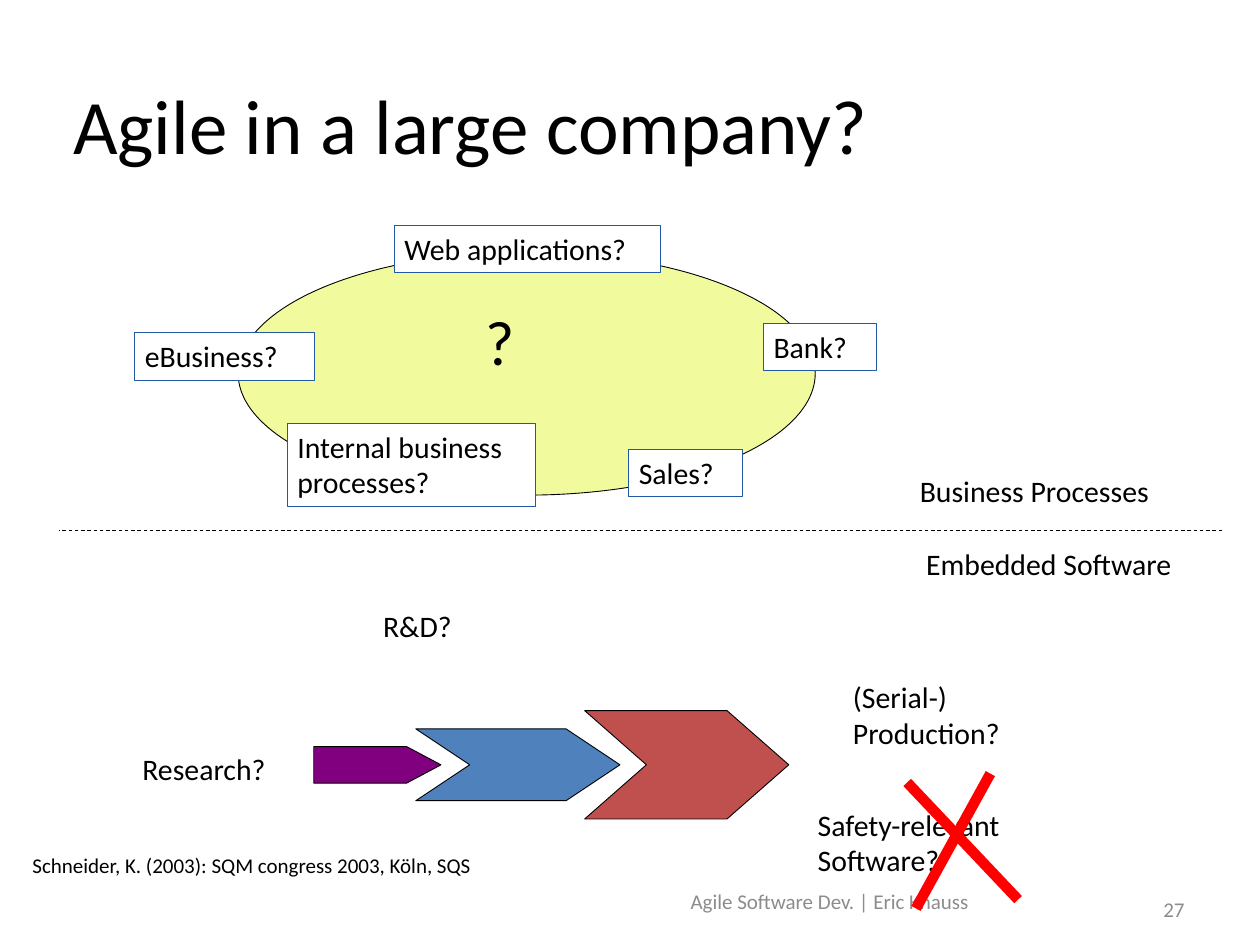
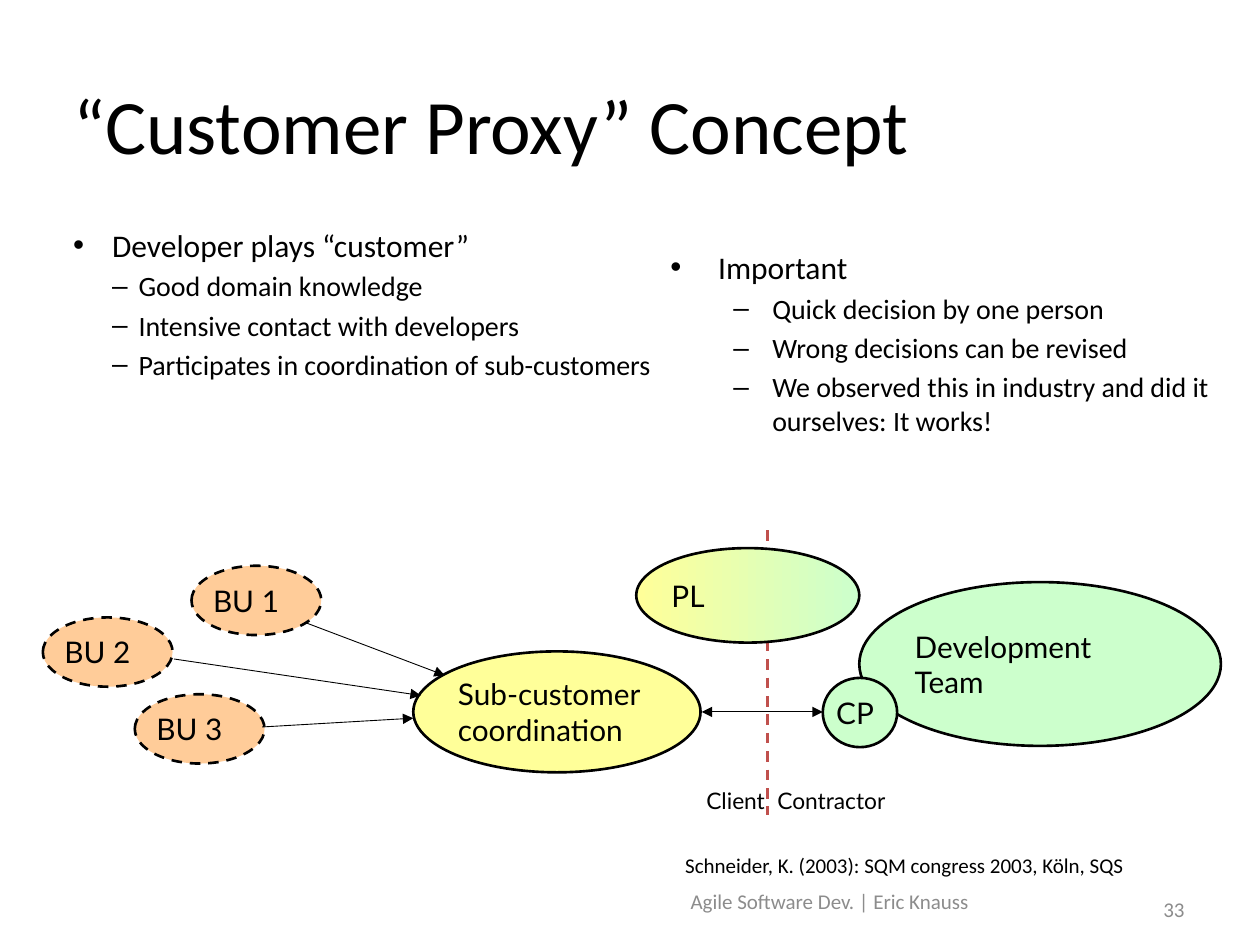
from lxml import etree
from pptx import Presentation
from pptx.dml.color import RGBColor
from pptx.enum.dml import MSO_LINE
from pptx.enum.shapes import MSO_CONNECTOR, MSO_SHAPE
from pptx.enum.text import MSO_ANCHOR, PP_ALIGN
from pptx.oxml.ns import qn
from pptx.util import Inches, Pt

ELLIPSE, RECTANGLE = MSO_SHAPE.OVAL, MSO_SHAPE.RECTANGLE
PENTAGON, CHEVRON = MSO_SHAPE.PENTAGON, MSO_SHAPE.CHEVRON
STRAIGHT, DASH = MSO_CONNECTOR.STRAIGHT, MSO_LINE.DASH
TOP, MIDDLE = MSO_ANCHOR.TOP, MSO_ANCHOR.MIDDLE
LEFT, CENTER, RIGHT = PP_ALIGN.LEFT, PP_ALIGN.CENTER, PP_ALIGN.RIGHT

WIDTH, HEIGHT = Inches(10), Inches(7.5)
COLUMN, ROW = WIDTH / 100, HEIGHT / 75

BLACK, WHITE, GREY, RED = "000000", "FFFFFF", "8C8C8C", "FF0000"
BOX_BLUE, LIME, PURPLE, BLUE, BRICK = "2358A7", "F1FA9C", "800080", "4F81BD", "C0504D"
PEACH, YELLOW, MINT = "FFCC99", "FFFF99", "CCFFCC"

BODY_FONT, DIAGRAM_FONT = "Calibri", "Lato"
# Text insets as (horizontal, vertical) grid units
WIDE, NORMAL, SNUG, TIGHT = (1, 0.5), (0.8, 0.4), (0.6, 0.3), (0.2, 0.1)
SOURCE = "Schneider, K. (2003): SQM congress 2003, Köln, SQS"
FOOTER = "Agile Software Dev. | Eric Knauss"


def colour(hex_string):
    return RGBColor.from_string(hex_string)


def cells(left, top, width, height):
    """Turn grid columns and rows into slide lengths."""
    return (round(left * COLUMN), round(top * ROW),
            round(width * COLUMN), round(height * ROW))


def prepare_frame(shape, insets, anchor):
    frame = shape.text_frame
    frame.word_wrap = True
    frame.vertical_anchor = anchor
    frame.margin_left = frame.margin_right = round(insets[0] * COLUMN)
    frame.margin_top = frame.margin_bottom = round(insets[1] * ROW)
    return frame


def add_run(paragraph, words, size, font=BODY_FONT, ink=BLACK):
    run = paragraph.add_run()
    run.text = words
    run.font.size = Pt(size)
    run.font.name = font
    run.font.color.rgb = colour(ink)


def write(shape, words, size=17, font=BODY_FONT, ink=BLACK,
          align=LEFT, anchor=TOP, insets=NORMAL):
    paragraph = prepare_frame(shape, insets, anchor).paragraphs[0]
    paragraph.alignment = align
    for number, line in enumerate(words.split("\n")):
        if number:
            paragraph.add_line_break()
        add_run(paragraph, line, size, font, ink)


def add_label(slide, area, words, **style):
    write(slide.shapes.add_textbox(*cells(*area)), words, **style)


def add_figure(slide, kind, area, fill, edge=BLACK, weight=0.5, dash=None):
    """Draw an outlined shape; a pair of fills makes a left-to-right gradient."""
    figure = slide.shapes.add_shape(kind, *cells(*area))
    figure.shadow.inherit = False
    if isinstance(fill, tuple):
        figure.fill.gradient()
        figure.fill.gradient_angle = 0
        for stop, shade in zip(figure.fill.gradient_stops, fill):
            stop.color.rgb = colour(shade)
    else:
        figure.fill.solid()
        figure.fill.fore_color.rgb = colour(fill)
    figure.line.color.rgb = colour(edge)
    figure.line.width = Pt(weight)
    if dash:
        figure.line.dash_style = dash
    return figure


def add_line(slide, start, end, ink=BLACK, weight=0.5, dash=None, arrows=()):
    """Draw a line; arrows lists the ends ("headEnd", "tailEnd") with a triangle."""
    x1, y1, x2, y2 = cells(*start, *end)
    line = slide.shapes.add_connector(STRAIGHT, x1, y1, x2, y2)
    line.line.color.rgb = colour(ink)
    line.line.width = Pt(weight)
    if dash:
        line.line.dash_style = dash
    properties = line._element.spPr
    for end_name in arrows:
        etree.SubElement(properties.find(qn("a:ln")), qn("a:" + end_name), type="triangle")
    etree.SubElement(properties, qn("a:effectLst"))


def add_bullets(slide, area, heading, points, indents):
    """Write a heading bullet and its points; indents are (margin, hang) per level."""
    frame = prepare_frame(slide.shapes.add_textbox(*cells(*area)), NORMAL, TOP)
    for number, words in enumerate([heading, *points]):
        level = min(number, 1)
        size, symbol = ((18, "•"), (16, "–"))[level]
        margin, hang = indents[level]
        paragraph = frame.add_paragraph() if number else frame.paragraphs[0]
        properties = paragraph._p.get_or_add_pPr()
        properties.set("marL", str(round(margin * COLUMN)))
        properties.set("indent", str(round(-hang * COLUMN)))
        etree.SubElement(properties, qn("a:buFont"), typeface="Arial")
        etree.SubElement(properties, qn("a:buChar"), char=symbol)
        if number:
            paragraph.level = level
            paragraph.space_before = Pt(size * 0.2)
        add_run(paragraph, words, size)


def add_titled_slide(deck, title, number):
    slide = deck.slides.add_slide(deck.slide_layouts[6])
    add_label(slide, (5, 5.1, 90, 9.4), title, size=44, anchor=MIDDLE)
    small = {"size": 12, "ink": GREY, "anchor": MIDDLE, "insets": WIDE}
    add_label(slide, (50, 69.5, 31.7, 4), FOOTER, align=CENTER, **small)
    add_label(slide, (83.5, 70.9, 11.5, 2.5), number, align=RIGHT, **small)
    return slide


def add_source(slide, left):
    add_label(slide, (left, 67.2, 43.7, 3), SOURCE, size=12, insets=WIDE)


def build_company_slide(deck):
    slide = add_titled_slide(deck, "Agile in a large company?", "27")
    add_figure(slide, ELLIPSE, (18.9, 20, 45.8, 19.3), LIME)
    for area, words in (
        ((10.7, 26.4, 14.3, 3.8), "eBusiness?"),
        ((60.6, 25.7, 9, 3.7), "Bank?"),
        ((49.9, 35.7, 9, 3.7), "Sales?"),
        ((22.8, 33.6, 19.7, 6.6), "Internal business\nprocesses?"),
        ((31.3, 17.9, 21.1, 3.7), "Web applications?"),
    ):
        write(add_figure(slide, RECTANGLE, area, WHITE, BOX_BLUE), words)
    add_label(slide, (37.7, 23.6, 4.7, 7.1), "?", size=36)

    add_label(slide, (72.2, 37.1, 23, 3.7), "Business Processes")
    add_line(slide, (97, 42.1), (4.7, 42.1), dash=DASH)
    add_label(slide, (72.7, 42.9, 22, 3.7), "Embedded Software")

    for area, words in (
        ((29.8, 47.9, 7.5, 3.4), "R&D?"),
        ((10.7, 59.3, 12.7, 3.4), "Research?"),
        ((67.1, 53.6, 13.9, 6.3), "(Serial-)\nProduction?"),
    ):
        add_label(slide, area, words, insets=SNUG)
    stage_axis = 60.7
    for kind, left, width, height, fill, point in (
        (PENTAGON, 24.9, 10.1, 2.9, PURPLE, 0.94),
        (CHEVRON, 33, 16.2, 5.7, BLUE, 0.75),
        (CHEVRON, 46.4, 16.2, 8.6, BRICK, 0.57),
    ):
        area = (left, stage_axis - height / 2, width, height)
        add_figure(slide, kind, area, fill).adjustments[0] = point

    add_label(slide, (64.1, 63.6, 17.7, 6.6), "Safety-relevant\nSoftware?")
    add_line(slide, (72, 62.1), (80.8, 71.4), RED, 6)
    add_line(slide, (72.7, 72.1), (78.6, 61.4), RED, 6)
    add_source(slide, 1.6)


def build_proxy_slide(deck):
    slide = add_titled_slide(deck, "“Customer Proxy” Concept", "33")
    add_bullets(slide, (5, 17.5, 90, 49.5), "Developer plays “customer”", (
        "Good domain knowledge",
        "Intensive contact with developers",
        "Participates in coordination of sub-customers",
    ), ((3.1, 3.1), (5.2, 2.1)))
    add_bullets(slide, (52.4, 19.3, 47.6, 46.4), "Important", (
        "Quick decision by one person",
        "Wrong decisions can be revised",
        "We observed this in industry and did it ourselves: It works!",
    ), ((3.8, 3.8), (8.1, 3.1)))

    add_line(slide, (60.9, 42.1), (60.9, 64.7), BRICK, 1.5, DASH)
    unit = (10.3, 5.5)
    for area, words, fill, dash in (
        ((15.2, 44.9, *unit), "BU 1", PEACH, DASH),
        ((3.4, 49, *unit), "BU 2", PEACH, DASH),
        ((10.7, 55.1, *unit), "BU 3", PEACH, DASH),
        ((68.2, 46.2, 28.7, 13), "Development\nTeam", MINT, None),
        ((32.8, 51.7, 22.8, 9.6), "Sub-customer\ncoordination", YELLOW, None),
        ((65.3, 53.8, 5.9, 5.5), "CP", MINT, None),
        ((50.5, 43.5, 17.7, 7.5), "PL", (YELLOW, MINT), None),
    ):
        role = add_figure(slide, ELLIPSE, area, fill, weight=1.5, dash=dash)
        write(role, words, font=DIAGRAM_FONT, anchor=MIDDLE, insets=TIGHT)

    for start, end in (
        ((24.2, 49.4), (35.3, 53.6)),
        ((13.8, 52.3), (33.4, 55.2)),
        ((20.8, 57.7), (32.8, 57)),
    ):
        add_line(slide, start, end, arrows=("tailEnd",))
    add_line(slide, (55.7, 56.5), (65.3, 56.5), arrows=("headEnd", "tailEnd"))

    for left, words, align in ((47.1, "Client", RIGHT), (61.5, "Contractor", LEFT)):
        add_label(slide, (left, 61.9, 13.8, 3.2), words, size=13, font=DIAGRAM_FONT,
                  align=align, anchor=MIDDLE, insets=TIGHT)
    add_source(slide, 53.4)


def main():
    deck = Presentation()
    deck.slide_width, deck.slide_height = WIDTH, HEIGHT
    build_company_slide(deck)
    build_proxy_slide(deck)
    deck.save("out.pptx")


if __name__ == "__main__":
    main()
